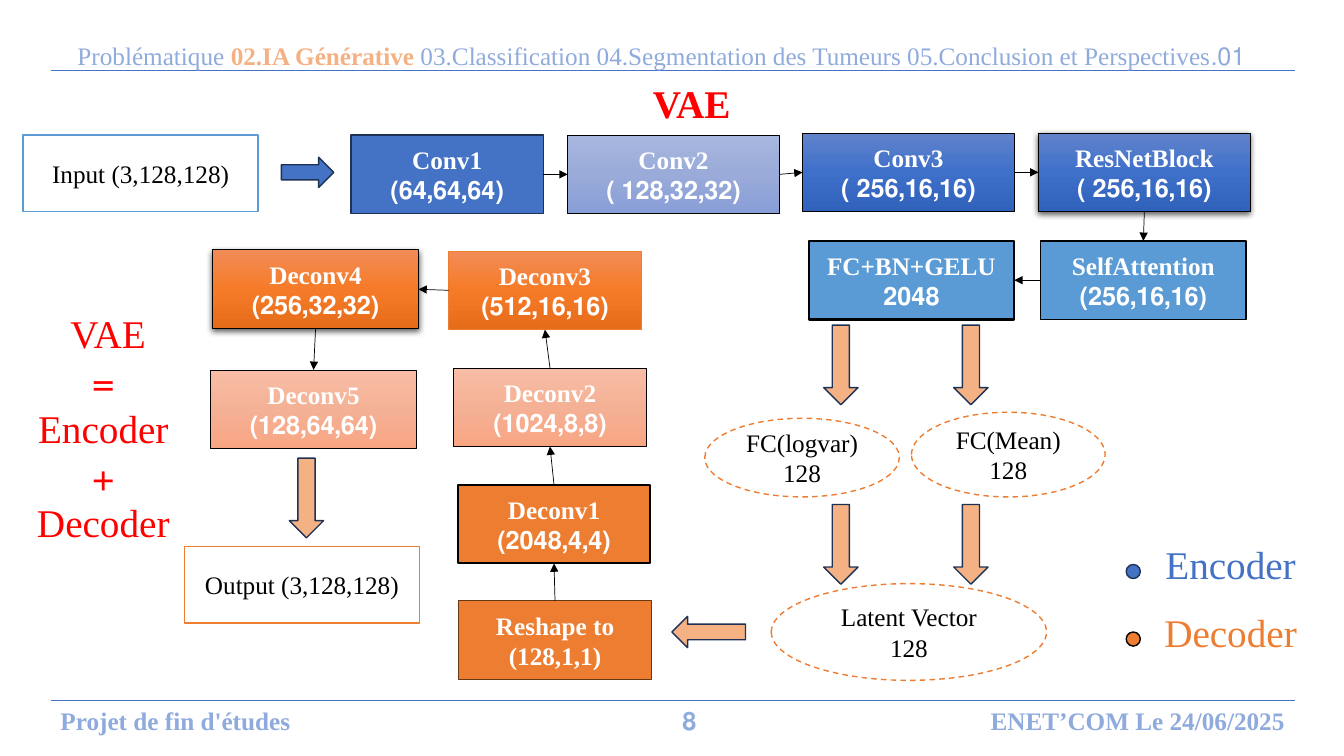
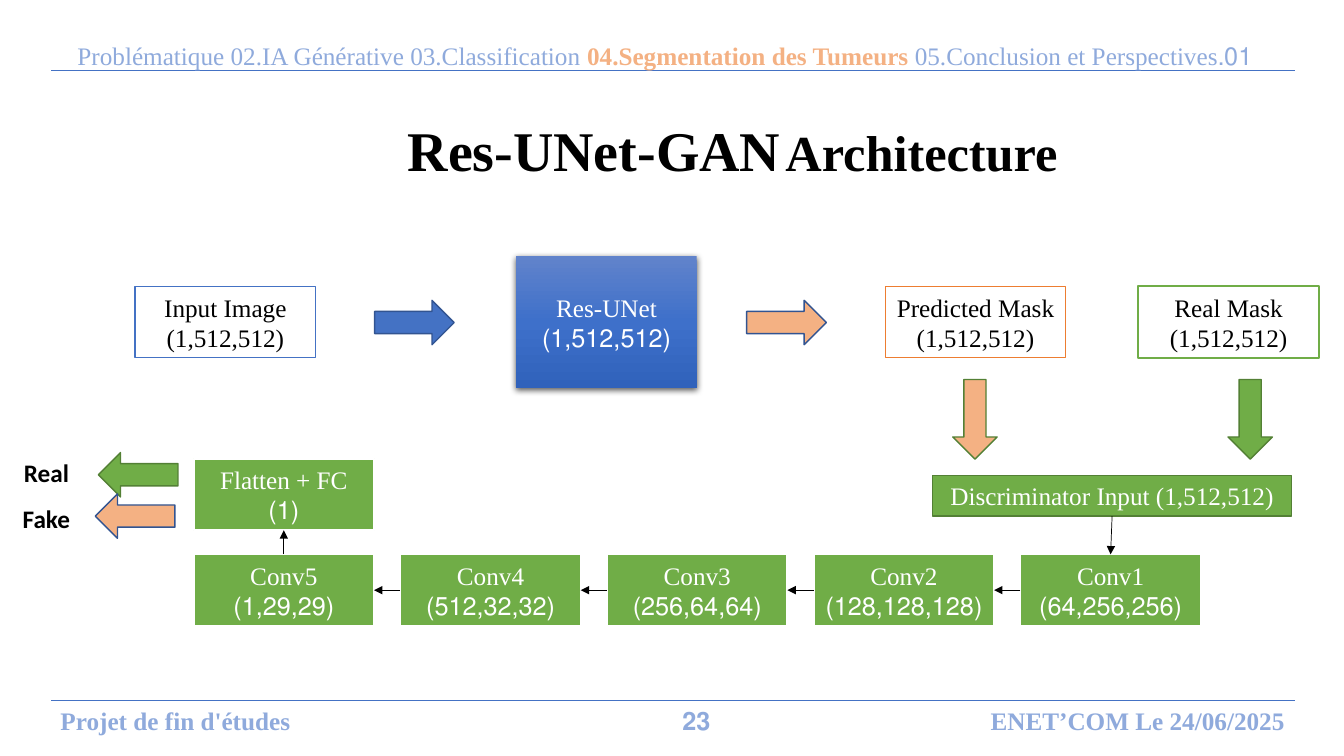
from copy import deepcopy

from lxml import etree
from pptx import Presentation
from pptx.dml.color import RGBColor
from pptx.enum.dml import MSO_LINE
from pptx.enum.shapes import MSO_CONNECTOR, MSO_SHAPE
from pptx.enum.text import MSO_ANCHOR, PP_ALIGN
from pptx.oxml.ns import qn
from pptx.util import Inches, Pt

RECT, OVAL = MSO_SHAPE.RECTANGLE, MSO_SHAPE.OVAL
EAST, WEST, SOUTH = MSO_SHAPE.RIGHT_ARROW, MSO_SHAPE.LEFT_ARROW, MSO_SHAPE.DOWN_ARROW
STRAIGHT, DASH = MSO_CONNECTOR.STRAIGHT, MSO_LINE.DASH
LEFT, MID, RIGHT = PP_ALIGN.LEFT, PP_ALIGN.CENTER, PP_ALIGN.RIGHT
TOP, CENTRE = MSO_ANCHOR.TOP, MSO_ANCHOR.MIDDLE
N, W, S, E = range(4)  # connection sites

# Shared look
SERIF = "Times New Roman"
WHITE, BLACK, RED = "FFFFFF", "000000", "FF0000"
BLUE, SKY, PALE, NAVY, STEEL = "4472C4", "5B9BD5", "8FAADC", "1E3256", "325491"
ORANGE, PEACH, BROWN = "ED7D31", "F4B183", "683715"
GREEN, MOSS = "70AD47", "538035"
DEEP = ("6183CB", "3E70CA", "3062BB")
MIST = ("A8B7DF", "9AABD9", "889ED7")
FIRE = ("F18C57", "F67B28", "E56C19")
BLUSH = ("F7BDA5", "F5B196", "F8A582")

PARTS = ["01.Problématique", "02.IA Générative", "03.Classification",
         "04.Segmentation des Tumeurs", "05.Conclusion et Perspectives"]
RULES = [0.7, 6.95]
FOOT = ["Projet de fin d'études", "ENET’COM Le 24/06/2025"]

# Slide 1: key, text, place, fill, line, line width, shadow
LAYERS = [
    ("c1", "Conv1\n(64,64,64)", (3.48, 1.34, 1.91, 0.78), BLUE, NAVY, 1, False),
    ("c2", "Conv2\n(128,32,32 )", (5.63, 1.34, 2.1, 0.78), MIST, BLACK, 0.5, False),
    ("c3", "Conv3\n(256,16,16 )", (7.96, 1.32, 2.1, 0.78), DEEP, BLACK, 0.5, False),
    ("res", "ResNetBlock\n(256,16,16 )", (10.3, 1.32, 2.1, 0.78), DEEP, BLACK, 0.75, True),
    ("att", "SelfAttention\n(256,16,16)", (10.32, 2.39, 2.04, 0.78), SKY, BLACK, 1, False),
    ("fc", "FC+BN+GELU\n2048", (8.02, 2.39, 2.04, 0.78), SKY, BLACK, 1.5, False),
    ("form", "Reshape to (128,1,1)", (4.55, 5.96, 1.91, 0.78), ORANGE, BROWN, 1, False),
    ("d1", "Deconv1\n(2048,4,4)", (4.54, 4.81, 1.91, 0.78), ORANGE, BLACK, 1.5, False),
    ("d2", "Deconv2\n(1024,8,8)", (4.5, 3.65, 1.91, 0.78), BLUSH, BLACK, 0.5, False),
    ("d3", "Deconv3\n(512,16,16)", (4.45, 2.49, 1.91, 0.78), FIRE, ORANGE, 0.5, False),
    ("d4", "Deconv4\n(256,32,32)", (2.11, 2.48, 2.04, 0.78), FIRE, BLACK, 0.75, True),
    ("d5", "Deconv5\n(128,64,64)", (2.09, 3.67, 2.04, 0.78), BLUSH, BLACK, 0.5, False),
]
FLOW = [("c1", E, "c2", W), ("c2", E, "c3", W), ("c3", E, "res", W),
        ("res", S, "att", N), ("att", W, "fc", E), ("form", N, "d1", S),
        ("d1", N, "d2", S), ("d2", N, "d3", S), ("d3", W, "d4", E),
        ("d4", S, "d5", N)]
ENDS = [("Input (3,128,128)", (0.23, 1.34, 2.33, 0.76), SKY),
        ("Output (3,128,128)", (1.83, 5.42, 2.33, 0.76), ORANGE)]
OVALS = [("FC(Mean) 128", (9.04, 4.09, 1.92, 0.84)),
         ("FC(logvar) 128", (6.99, 4.15, 1.93, 0.78)),
         ("Latent Vector 128", (7.65, 5.79, 2.73, 0.96))]
DROPS = [(x, y) for y in (3.62, 5.4) for x in (8.34, 9.63)] + [(3.04, 4.94)]
KEYS = [("Encoder", BLUE, NAVY), ("Decoder", ORANGE, BLACK)]
SUM = "VAE \n=\nEncoder\n+\nDecoder"

# Slide 2
MASKS = [("Input Image (1,512,512)", 1.34, BLUE, 1),
         ("Predicted Mask (1,512,512)", 8.78, ORANGE, 1),
         ("Real Mask (1,512,512)", 11.29, GREEN, 1.5)]
CONVS = ["Conv5\n(1,29,29)", "Conv4\n(512,32,32)", "Conv3\n(256,64,64)",
         "Conv2\n(128,128,128)", "Conv1\n(64,256,256)"]
# direction, centre, fill, line
BLOCKS = [(EAST, 4.11, 3.2, BLUE, STEEL), (EAST, 7.8, 3.2, PEACH, STEEL),
          (SOUTH, 9.67, 4.16, PEACH, MOSS), (SOUTH, 12.4, 4.16, GREEN, MOSS),
          (WEST, 1.37, 4.71, GREEN, MOSS), (WEST, 1.34, 5.12, PEACH, STEEL)]
VERDICT = [("Real", 4.49), ("Fake", 4.95)]


def rgb(code):
    return RGBColor.from_string(code)


def write(shape, text, size=18, color=BLACK, bold=False, align=MID,
          font=SERIF, anchor=CENTRE):
    """Fill a shape; text is a string, or a list of (string, format) runs."""
    frame = shape.text_frame
    frame.word_wrap = True
    frame.vertical_anchor = anchor
    lines = [[(t, {})] for t in text.split("\n")] if isinstance(text, str) else [text]
    for i, line in enumerate(lines):
        para = frame.add_paragraph() if i else frame.paragraphs[0]
        para.alignment = align
        para._p.get_or_add_pPr().set("rtl", "1")
        for words, extra in line:
            run = para.add_run()
            run.text = words
            run.font.name, run.font.size = font, Pt(size)
            run.font.bold = extra.get("bold", bold)
            run.font.color.rgb = rgb(extra.get("color", color))


def label(slide, text, place, **style):
    write(slide.shapes.add_textbox(*map(Inches, place)), text, **style)


def shade(shape, tones):
    """Three-stop gradient running downwards."""
    shape.fill.gradient()
    stop = shape._element.spPr.find(".//" + qn("a:gs"))
    stop.addnext(deepcopy(stop))
    shape.fill.gradient_angle = 270
    for i, (mark, tone) in enumerate(zip(shape.fill.gradient_stops, tones)):
        mark.position = i / 2
        mark.color.rgb = rgb(tone)


def cast(shape):
    """Soft shadow below the shape."""
    glow = etree.SubElement(shape._element.spPr.find(qn("a:effectLst")),
                            qn("a:outerShdw"), blurRad="57150", dist="19050",
                            dir="5400000", algn="ctr", rotWithShape="0")
    tint = etree.SubElement(glow, qn("a:srgbClr"), val=BLACK)
    etree.SubElement(tint, qn("a:alpha"), val="63000")


def box(slide, place, fill, line=None, width=1, kind=RECT, dash=None,
        shadow=False, text=None, **style):
    shape = slide.shapes.add_shape(kind, *map(Inches, place))
    shape.shadow.inherit = False
    if isinstance(fill, tuple):
        shade(shape, fill)
    else:
        shape.fill.solid()
        shape.fill.fore_color.rgb = rgb(fill)
    if line:
        shape.line.color.rgb = rgb(line)
        shape.line.width = Pt(width)
        if dash:
            shape.line.dash_style = dash
    else:
        shape.line.fill.background()
    if shadow:
        cast(shape)
    if text:
        write(shape, text, **style)
    return shape


def arrow(slide, kind, x, y, fill, line, long=0.79, wide=0.44):
    """Block arrow centred on x, y."""
    w, h = (wide, long) if kind == SOUTH else (long, wide)
    box(slide, (x - w / 2, y - h / 2, w, h), fill, line, kind=kind)


def rule(slide, color, ends=(0, 0, 0, 0)):
    wire = slide.shapes.add_connector(STRAIGHT, *map(Inches, ends))
    wire.line.color.rgb = rgb(color)
    wire.line.width = Pt(0.5)
    etree.SubElement(wire._element.spPr, qn("a:effectLst"))
    return wire


def join(slide, first, out, last, into):
    wire = rule(slide, BLACK)
    wire.begin_connect(first, out)
    wire.end_connect(last, into)
    etree.SubElement(wire.line._get_or_add_ln(), qn("a:tailEnd"), type="triangle")


def start(deck, number, active):
    """New slide with header, rules and footer."""
    slide = deck.slides.add_slide(deck.slide_layouts[6])
    for y in RULES:
        rule(slide, BLUE, (0.51, y, 12.84, y))
    runs = []
    for i, part in enumerate(PARTS):
        gap = " " if i < len(PARTS) - 1 else ""
        look = {"color": PEACH, "bold": True} if i == active else {}
        runs.append((part + gap, look))
    label(slide, runs, (0.67, 0.35, 12.22, 0.4), color=PALE, align=LEFT, anchor=TOP)
    foot = dict(color=PALE, bold=True, anchor=TOP)
    label(slide, FOOT[0], (0.24, 6.95, 3, 0.4), **foot)
    label(slide, FOOT[1], (6.18, 6.95, 6.66, 0.4), align=RIGHT, **foot)
    label(slide, number, (6.67, 6.95, 2.11, 0.4), align=LEFT, **foot)
    return slide


def model(deck):
    slide = start(deck, "8", 1)
    box(slide, (5.64, 0.74, 2.44, 0.57), WHITE, kind=OVAL, text="VAE",
        size=28, color=RED, bold=True)
    label(slide, SUM, (0.21, 3.07, 1.63, 2.34), size=28, color=RED)

    # Layers and their links
    nodes = {}
    for key, text, place, fill, line, width, shadow in LAYERS:
        nodes[key] = box(slide, place, fill, line, width, shadow=shadow,
                         text=text, color=WHITE, bold=True)
    for first, out, last, into in FLOW:
        join(slide, nodes[first], out, nodes[last], into)
    for text, place, line in ENDS:
        box(slide, place, WHITE, line, text=text)
    for text, place in OVALS:
        box(slide, place, WHITE, ORANGE, kind=OVAL, dash=DASH, text=text)

    # Block arrows
    arrow(slide, EAST, 3.05, 1.71, BLUE, NAVY, 0.52, 0.3)
    arrow(slide, WEST, 7.03, 6.27, PEACH, NAVY, 0.73, 0.31)
    for x, y in DROPS:
        arrow(slide, SOUTH, x, y, PEACH, NAVY, wide=0.34)

    # Legend
    for i, (text, color, line) in enumerate(KEYS):
        y = 5.6 + 0.67 * i
        box(slide, (11.17, y, 0.14, 0.14), color, line, kind=OVAL)
        label(slide, text, (11.39, y - 0.39, 1.63, 0.77), size=28, color=color)


def network(deck):
    slide = start(deck, "23", 3)
    label(slide, [("Res-UNet-GAN ", {})], (3.34, 1.1, 4.5, 0.77), size=40,
          bold=True, align=RIGHT, anchor=TOP)
    label(slide, "Architecture", (7.6, 1.15, 2.99, 0.72), size=36, bold=True,
          align=RIGHT, anchor=TOP)

    # Generator row
    for text, x, line, width in MASKS:
        box(slide, (x, 2.84, 1.79, 0.71), WHITE, line, width, text=text)
    box(slide, (5.12, 2.54, 1.79, 1.31), DEEP, shadow=True,
        text="Res-UNet\n(1,512,512)", color=WHITE)

    # Discriminator chain, right to left
    entry = box(slide, (9.25, 4.72, 3.56, 0.4), GREEN, MOSS,
                text="Discriminator Input (1,512,512)", color=WHITE)
    chain = [box(slide, (1.92 + 2.05 * i, 5.5, 1.79, 0.71), GREEN, WHITE, 1.5,
                 text=text, color=WHITE) for i, text in enumerate(CONVS)]
    flat = box(slide, (1.92, 4.55, 1.79, 0.71), GREEN, WHITE, 1.5,
               text="Flatten + FC\n(1)", color=WHITE)
    join(slide, entry, S, chain[-1], N)
    for last, first in zip(chain, chain[1:]):
        join(slide, first, W, last, E)
    join(slide, chain[0], N, flat, S)

    # Block arrows and verdicts
    for block in BLOCKS:
        arrow(slide, *block)
    for text, y in VERDICT:
        label(slide, text, (0, y, 0.92, 0.39), font="Calibri", bold=True)


def main():
    deck = Presentation()
    deck.slide_width, deck.slide_height = Inches(13.33), Inches(7.5)
    model(deck)
    network(deck)
    deck.save("out.pptx")


if __name__ == "__main__":
    main()
